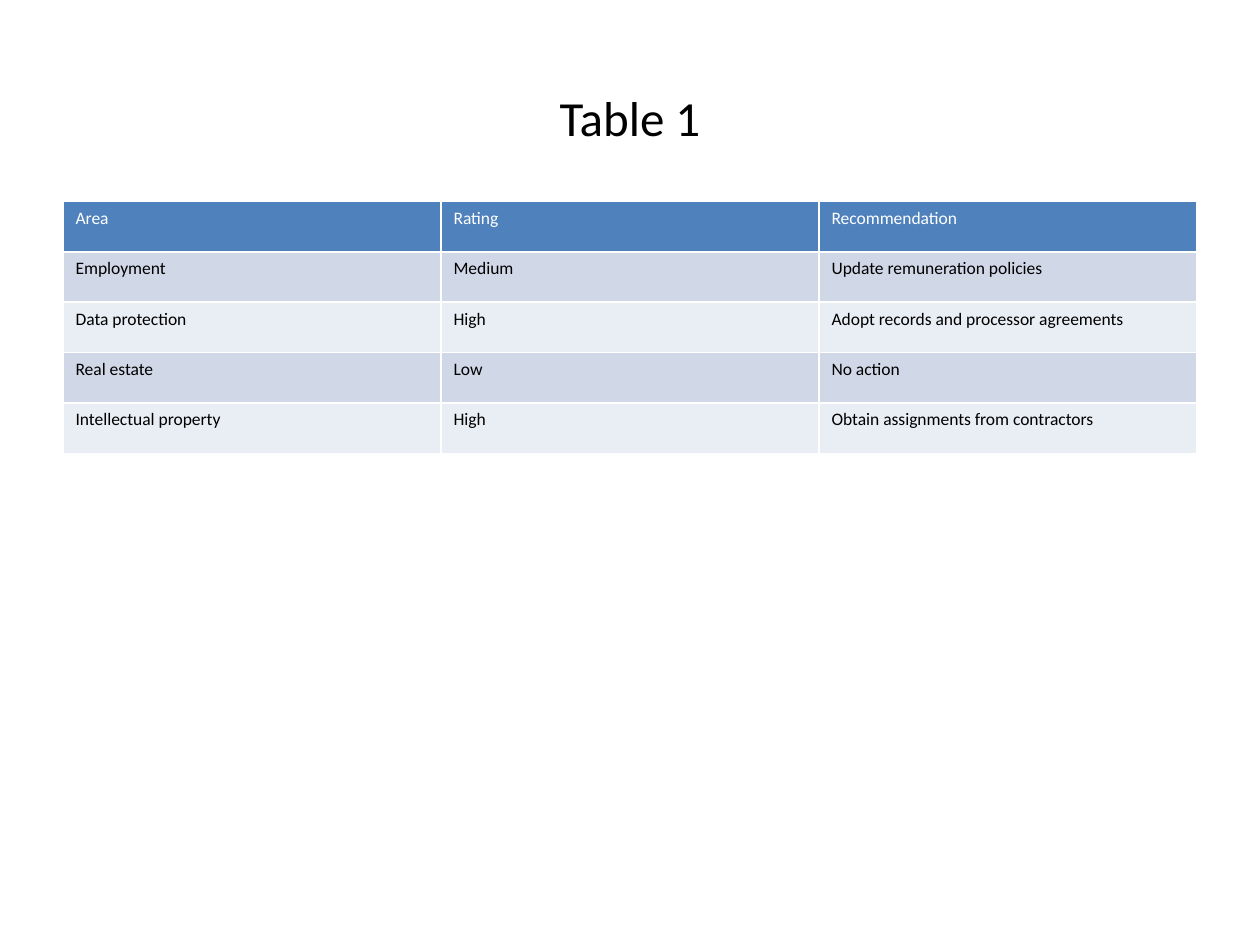
from pptx import Presentation
from pptx.dml.color import RGBColor
from pptx.enum.text import MSO_ANCHOR, PP_ALIGN
from pptx.util import Cm, Pt

FONT = "Calibri"
BLACK, WHITE = "000000", "FFFFFF"
HEADER_FILL = "4F81BD"
BAND_FILLS = ("D0D8E8", "E9EDF4")

ROWS = [
    ("Area", "Rating", "Recommendation"),
    ("Employment", "Medium", "Update remuneration policies"),
    ("Data protection", "High", "Adopt records and processor agreements"),
    ("Real estate", "Low", "No action"),
    ("Intellectual property", "High", "Obtain assignments from contractors"),
]


def color(value):
    return RGBColor.from_string(value)


def write(text_frame, text, size, text_color):
    paragraph = text_frame.paragraphs[0]
    paragraph.text = text
    paragraph.font.name = FONT
    paragraph.font.size = Pt(size)
    paragraph.font.bold = False
    paragraph.font.color.rgb = color(text_color)
    return paragraph


def add_title(slide, text, left, top, width, height):
    text_frame = slide.shapes.add_textbox(left, top, width, height).text_frame
    text_frame.word_wrap = True
    text_frame.vertical_anchor = MSO_ANCHOR.MIDDLE
    write(text_frame, text, 28, BLACK).alignment = PP_ALIGN.CENTER


def add_ratings_table(slide, rows, left, top, width, height):
    table = slide.shapes.add_table(
        len(rows), len(rows[0]), left, top, width, height
    ).table
    for row_index, row in enumerate(rows):
        is_header = row_index == 0
        fill = HEADER_FILL if is_header else BAND_FILLS[(row_index - 1) % 2]
        for column_index, text in enumerate(row):
            cell = table.cell(row_index, column_index)
            cell.fill.solid()
            cell.fill.fore_color.rgb = color(fill)
            write(cell.text_frame, text, 10, WHITE if is_header else BLACK)


def main():
    presentation = Presentation()
    presentation.slide_width = Cm(25.4)
    presentation.slide_height = Cm(19.05)
    slide = presentation.slides.add_slide(presentation.slide_layouts[6])
    margin = Cm(1.27)
    content_width = presentation.slide_width - 2 * margin
    add_title(slide, "Table 1", margin, Cm(0.76), content_width, Cm(3.18))
    add_ratings_table(slide, ROWS, margin, Cm(4.06), content_width, Cm(5.08))
    presentation.save("out.pptx")


if __name__ == "__main__":
    main()
